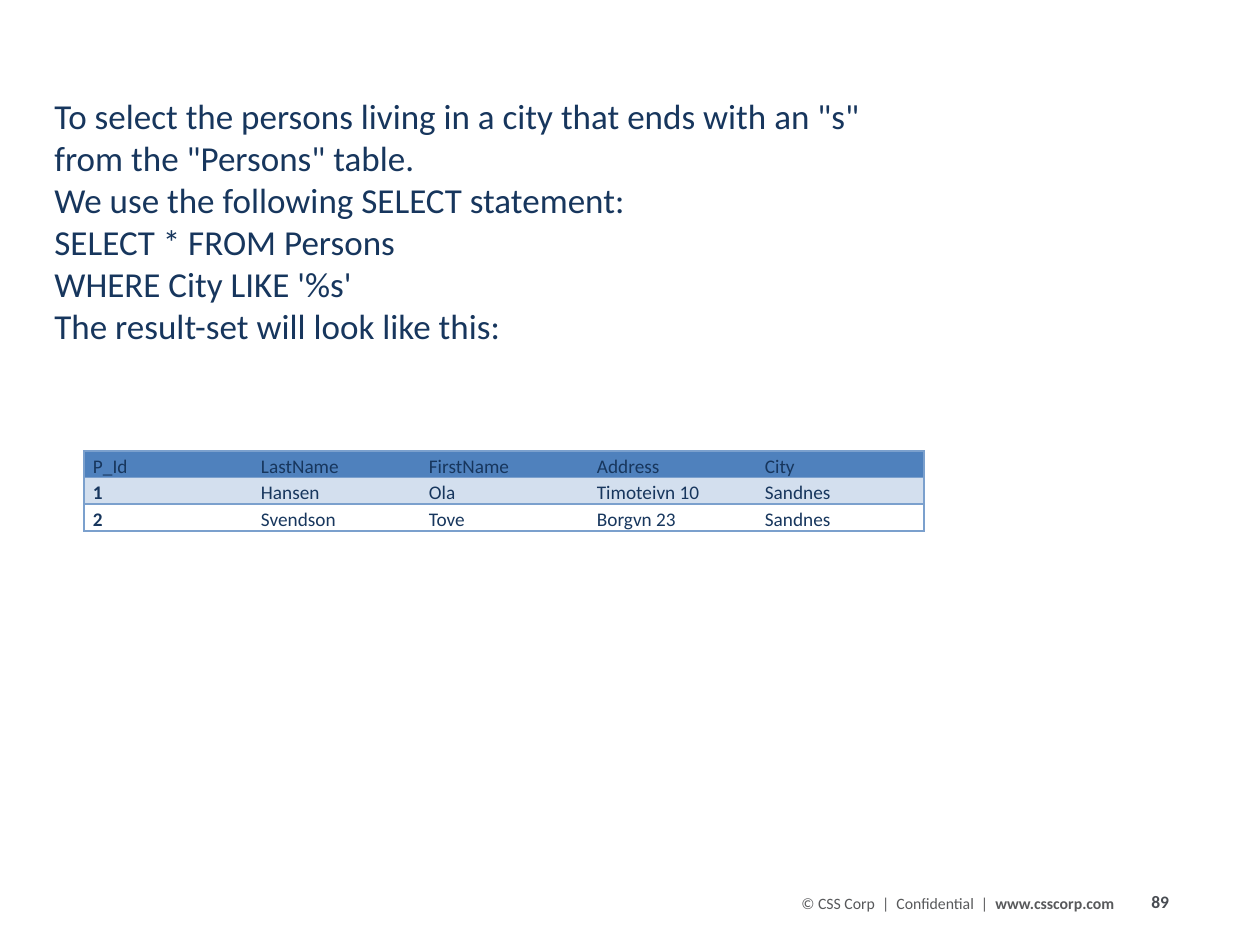
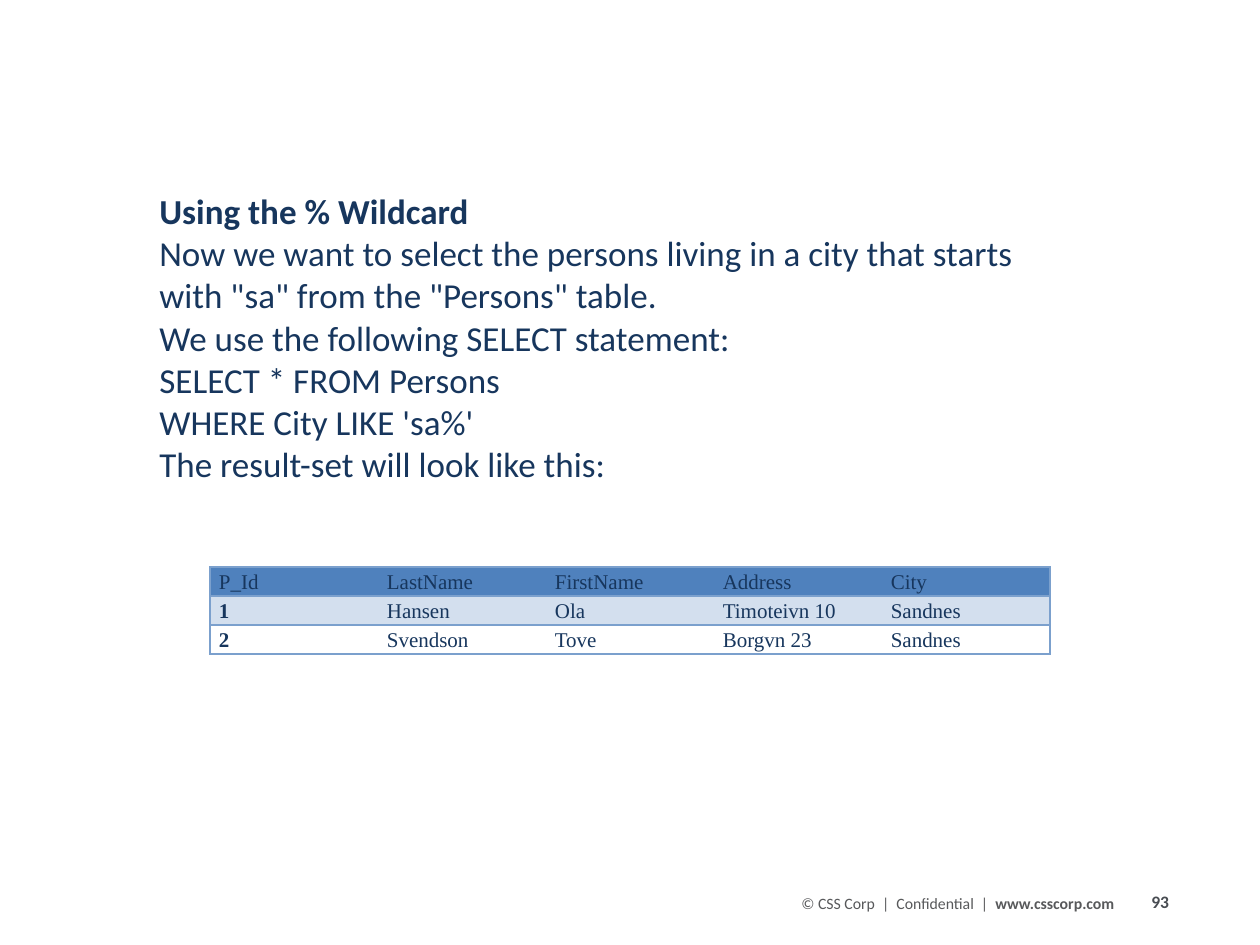
from dataclasses import dataclass

from lxml import etree
from pptx import Presentation
from pptx import util as u
from pptx.dml.color import RGBColor
from pptx.enum import text
from pptx.oxml.ns import qn


@dataclass(frozen=True)
class Theme:
    navy: str = "17365D"
    header: str = "4F81BD"
    band: str = "D3DFEE"
    rule: str = "7BA0CD"
    number: str = "484C52"
    footer: str = "58595B"
    sans: str = "Calibri"
    serif: str = "Times New Roman"
    body_size: int = 20
    number_size: int = 10
    footer_size: int = 9


theme = Theme()
PX = u.Inches(1) / 126


def px(*lengths):
    return [round(length * PX) for length in lengths]


def style(font, face, size, color, bold=False):
    font.name, font.size, font.bold = face, u.Pt(size), bold
    font.color.rgb = RGBColor.from_string(color)


RESULT_SET = [
    ["P_Id", "LastName", "FirstName", "Address", "City"],
    ["1", "Hansen", "Ola", "Timoteivn 10", "Sandnes"],
    ["2", "Svendson", "Tove", "Borgvn 23", "Sandnes"],
]
ROW_FILLS = [theme.header, theme.band, None]
COLUMN_WIDTH = 168

STATEMENT = "We use the following SELECT statement:"
RESULT = "The result-set will look like this:"

pages = [
    dict(
        number="89",
        heading=None,
        lines=[
            'To select the persons living in a city that ends with an "s" from the "Persons" table.',
            STATEMENT,
            "SELECT * FROM Persons\nWHERE City LIKE '%s'",
            RESULT,
        ],
        body_box=(42, 87, 872, 267),
        table_at=(84, 451),
        row_height=26,
        table_font=(theme.sans, 11),
    ),
    dict(
        number="93",
        heading="Using the % Wildcard",
        lines=[
            'Now we want to select the persons living in a city that starts with "sa" from the "Persons" table.',
            STATEMENT,
            "SELECT * FROM Persons\nWHERE City LIKE 'sa%'",
            RESULT,
        ],
        body_box=(147, 182, 924, 310),
        table_at=(210, 567),
        row_height=29,
        table_font=(theme.serif, 12),
    ),
]

prs = Presentation()
prs.slide_width, prs.slide_height = px(1260, 945)

for page in pages:
    slide = prs.slides.add_slide(prs.slide_layouts[6])

    number = slide.shapes.add_textbox(*px(1139, 885, 100, 34)).text_frame
    number.word_wrap = True
    number.text = page["number"]
    style(number.paragraphs[0].font, theme.sans, theme.number_size, theme.number, True)

    footer = slide.shapes.add_textbox(*px(789, 888, 388, 32)).text_frame
    footer.word_wrap = True
    for words, bold in [("© CSS Corp  |  Confidential  |  ", False), ("www.csscorp.com", True)]:
        run = footer.paragraphs[0].add_run()
        run.text = words
        style(run.font, theme.sans, theme.footer_size, theme.footer, bold)

    columns, rows = len(RESULT_SET[0]), len(RESULT_SET)
    table_size = (COLUMN_WIDTH * columns, page["row_height"] * rows)
    result = slide.shapes.add_table(rows, columns, *px(*page["table_at"], *table_size)).table
    result.first_row = result.horz_banding = False
    for r, values in enumerate(RESULT_SET):
        for c, value in enumerate(values):
            cell = result.cell(r, c)
            cell.margin_left, cell.margin_right, cell.margin_top, cell.margin_bottom = px(9, 9, 0, 0)
            cell.text = value
            paragraph = cell.text_frame.paragraphs[0]
            paragraph.line_spacing = 1.15
            style(paragraph.font, *page["table_font"], theme.navy, c == 0 and r > 0)

            borders = {"a:lnL": c == 0, "a:lnR": c == columns - 1, "a:lnT": True, "a:lnB": True}
            for side, shown in borders.items():
                line = etree.SubElement(cell._tc.get_or_add_tcPr(), qn(side), w=str(u.Pt(1)))
                if shown:
                    paint = etree.SubElement(line, qn("a:solidFill"))
                    etree.SubElement(paint, qn("a:srgbClr"), val=theme.rule)
                else:
                    etree.SubElement(line, qn("a:noFill"))

            if ROW_FILLS[r]:
                cell.fill.solid()
                cell.fill.fore_color.rgb = RGBColor.from_string(ROW_FILLS[r])
            else:
                cell.fill.background()

    body = slide.shapes.add_textbox(*px(*page["body_box"])).text_frame
    body.word_wrap = True
    body.vertical_anchor = text.MSO_ANCHOR.MIDDLE
    heading = [page["heading"]] if page["heading"] else []
    for i, words in enumerate(heading + page["lines"]):
        paragraph = body.add_paragraph() if i else body.paragraphs[0]
        paragraph.text = words
        style(paragraph.font, theme.sans, theme.body_size, theme.navy, words == page["heading"])

prs.save("out.pptx")
